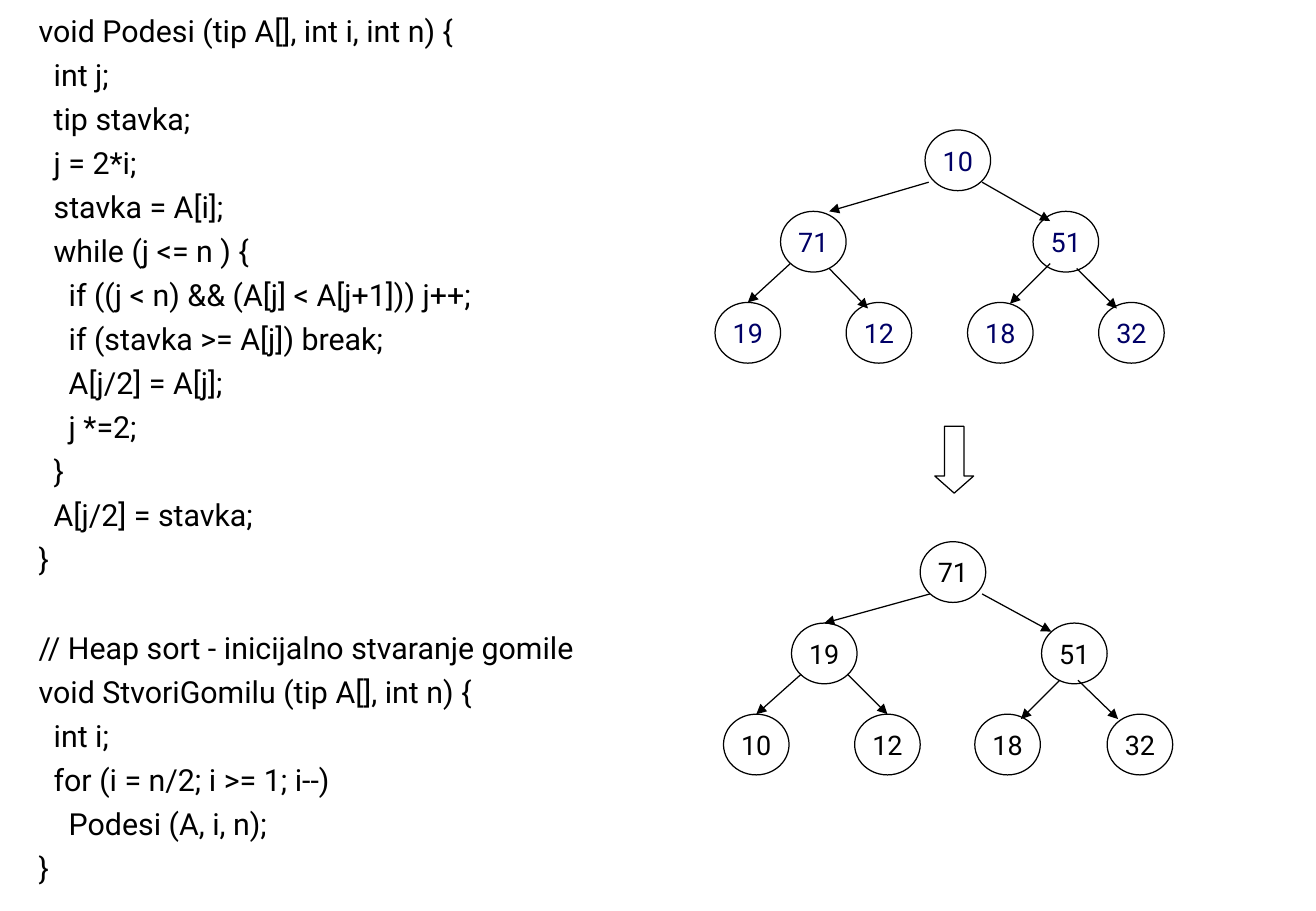
from dataclasses import dataclass

from pptx import Presentation
from pptx.dml.color import RGBColor
from pptx.enum.shapes import MSO_CONNECTOR as CONN, MSO_SHAPE as SHAPE
from pptx.enum.text import MSO_ANCHOR as ANCHOR, PP_ALIGN as ALIGN
from pptx.oxml.ns import qn
from pptx.util import Inches, Pt
from lxml.etree import SubElement


@dataclass(frozen=True)
class Theme:
    font: str = "Roboto"
    black: RGBColor = RGBColor(0, 0, 0)
    navy: RGBColor = RGBColor(0, 0, 0x66)
    white: RGBColor = RGBColor(255, 255, 255)
    code_size: float = 18
    node_size: float = 16
    line_width: float = 0.75
    code_gap: float = 4.5
    block_gap: float = 31


ADJUST_CODE = """void Podesi (tip A[], int i, int n) {
  int j;
  tip stavka;
  j = 2*i;
  stavka = A[i];
  while (j <= n ) {
    if ((j < n) && (A[j] < A[j+1])) j++;
    if (stavka >= A[j]) break;
    A[j/2] = A[j];
    j *=2;
  }
  A[j/2] = stavka;
}"""

BUILD_CODE = """// Heap sort - inicijalno stvaranje gomile
void StvoriGomilu (tip A[], int n) {
  int i;
  for (i = n/2; i >= 1; i--)
    Podesi (A, i, n);
}"""

NODE_W, NODE_H = 0.54, 0.5
LEVEL_DROPS = (0, 0.67, 1.42)

START_TOP = 1.07
START_NODES = [(10, 7.62), (71, 6.43), (51, 8.51),
               (19, 5.89), (12, 6.97), (18, 7.97), (32, 9.05)]
START_EDGES = [(7.65, 1.5, 6.83, 1.74), (8.09, 1.5, 8.65, 1.82),
               (6.51, 2.17, 6.16, 2.49), (6.83, 2.21, 7.15, 2.54),
               (8.65, 2.17, 8.32, 2.5), (8.87, 2.21, 9.2, 2.54)]

HEAP_TOP = 4.46
HEAP_NODES = [(71, 7.58), (19, 6.52), (51, 8.58),
              (10, 5.96), (12, 7.04), (18, 8.03), (32, 9.12)]
HEAP_EDGES = [(7.66, 4.89, 6.79, 5.13), (8.09, 4.89, 8.66, 5.2),
              (6.6, 5.55, 6.23, 5.88), (6.98, 5.55, 7.31, 5.88),
              (8.73, 5.6, 8.41, 5.92), (8.88, 5.6, 9.21, 5.92)]


class SlideBuilder:
    def __init__(self, slide, theme):
        self.shapes = slide.shapes
        self.theme = theme

    def style_font(self, p, size, color):
        p.font.name = self.theme.font
        p.font.size = Pt(size)
        p.font.color.rgb = color

    def style_line(self, sp):
        sp.line.color.rgb = self.theme.black
        sp.line.width = Pt(self.theme.line_width)

    def code(self, blocks, left, top, width, height):
        box = self.shapes.add_textbox(*map(Inches, (left, top, width, height)))
        tf = box.text_frame
        tf.word_wrap = True
        tf.text = "\n".join(blocks)
        for p in tf.paragraphs:
            p.space_before = Pt(self.theme.code_gap)
            self.style_font(p, self.theme.code_size, self.theme.black)
        tf.paragraphs[0].space_before = Pt(0)
        start = 0
        for block in blocks[:-1]:
            start += len(block.splitlines())
            tf.paragraphs[start].space_before = Pt(self.theme.block_gap)

    def shape(self, kind, left, top, width, height):
        sp = self.shapes.add_shape(kind, *map(Inches, (left, top, width, height)))
        sp.shadow.inherit = False
        self.style_line(sp)
        return sp

    def node(self, value, left, top, color):
        sp = self.shape(SHAPE.OVAL, left, top, NODE_W, NODE_H)
        sp.fill.background()
        tf = sp.text_frame
        tf.word_wrap = False
        tf.vertical_anchor = ANCHOR.MIDDLE
        p = tf.paragraphs[0]
        p.text = str(value)
        p.alignment = ALIGN.CENTER
        self.style_font(p, self.theme.node_size, color)

    def edge(self, x1, y1, x2, y2):
        line = self.shapes.add_connector(CONN.STRAIGHT, *map(Inches, (x1, y1, x2, y2)))
        self.style_line(line)
        SubElement(line.line._get_or_add_ln(), qn("a:tailEnd"), type="triangle")
        SubElement(line._element.spPr, qn("a:effectLst"))

    def tree(self, nodes, edges, top, color):
        for number, (value, left) in enumerate(nodes, 1):
            level = number.bit_length() - 1
            self.node(value, left, top + LEVEL_DROPS[level], color)
        for edge in edges:
            self.edge(*edge)

    def down_arrow(self, left, top, width, height):
        sp = self.shape(SHAPE.DOWN_ARROW, left, top, width, height)
        sp.adjustments[0] = 0.5
        sp.adjustments[1] = 0.44
        sp.fill.solid()
        sp.fill.fore_color.rgb = self.theme.white


def main():
    prs = Presentation()
    prs.slide_width, prs.slide_height = Inches(10.84), Inches(7.5)
    s = prs.slides.add_slide(prs.slide_layouts[6])
    theme = Theme()
    builder = SlideBuilder(s, theme)
    builder.code([ADJUST_CODE, BUILD_CODE], 0.22, 0.05, 5.75, 7.29)
    builder.tree(START_NODES, START_EDGES, START_TOP, theme.navy)
    builder.tree(HEAP_NODES, HEAP_EDGES, HEAP_TOP, theme.black)
    builder.down_arrow(7.7, 3.51, 0.32, 0.55)
    prs.save("out.pptx")


if __name__ == "__main__":
    main()
